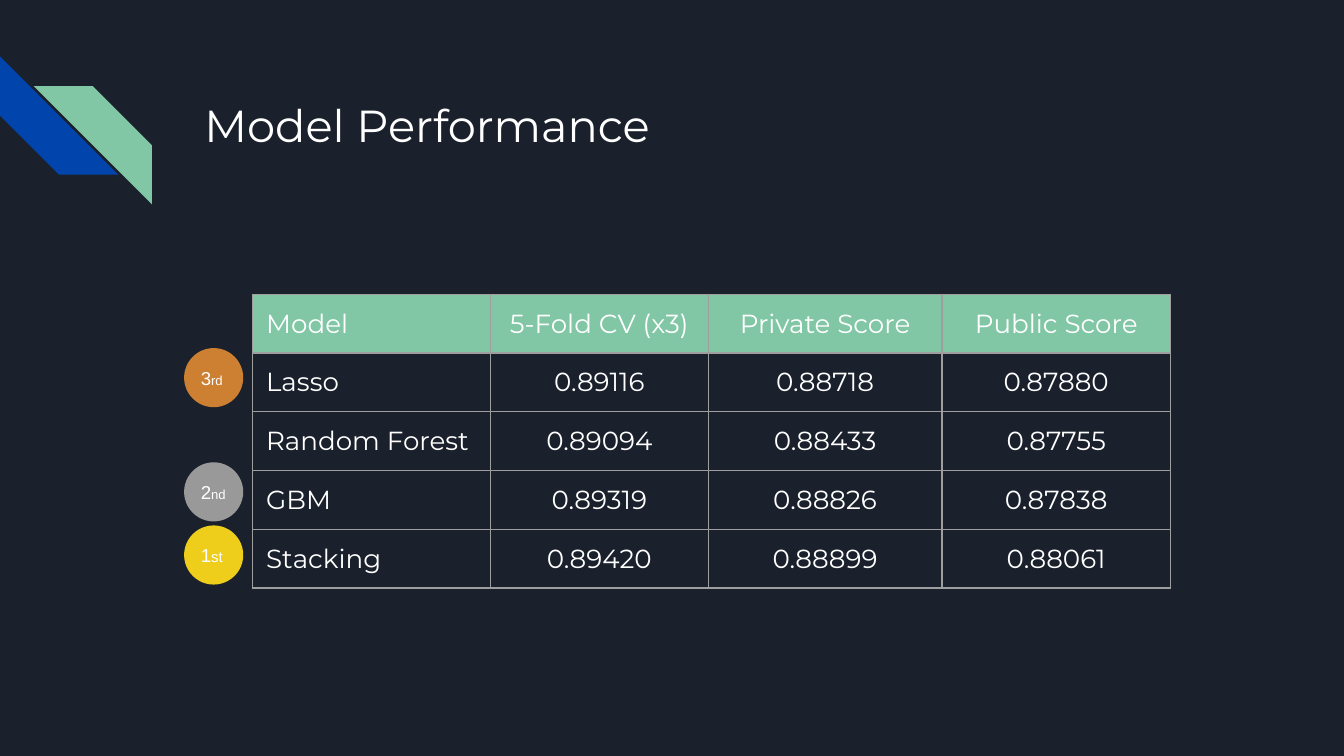
from dataclasses import dataclass

from lxml import etree
from pptx import Presentation
from pptx.dml.color import RGBColor
from pptx.enum.shapes import MSO_SHAPE
from pptx.enum.text import MSO_ANCHOR, MSO_AUTO_SIZE, PP_ALIGN
from pptx.oxml.ns import qn
from pptx.util import Inches, Pt

STRIPE = MSO_SHAPE.DIAGONAL_STRIPE
OVAL = MSO_SHAPE.OVAL
MIDDLE = MSO_ANCHOR.MIDDLE
LEFT = PP_ALIGN.LEFT
CENTER = PP_ALIGN.CENTER
NO_FIT = MSO_AUTO_SIZE.NONE

COLORS = {
    "back": "1B212C",
    "blue": "0145AC",
    "green": "82C7A5",
    "white": "FFFFFF",
    "grid": "9E9E9E",
    "gold": "EECE1A",
    "silver": "999999",
    "bronze": "CD7F32",
}
SANS = "Montserrat"
WIDTHS = [1.77, 1.62, 1.74, 1.7]
ROW = 0.42
SCORES = [
    ["Model", "5-Fold CV (x3)", "Private Score", "Public Score"],
    ["Lasso", "0.89116", "0.88718", "0.87880"],
    ["Random Forest", "0.89094", "0.88433", "0.87755"],
    ["GBM", "0.89319", "0.88826", "0.87838"],
    ["Stacking", "0.89420", "0.88899", "0.88061"],
]


@dataclass
class Stripe:
    left: float
    top: float
    color: str
    turn: int


@dataclass
class Medal:
    top: float
    color: str
    rank: str
    suffix: str
    size: int


STRIPES = [Stripe(0, 0.42, "blue", 270), Stripe(0.25, 0.64, "green", 90)]
MEDALS = [
    Medal(3.91, "gold", "1", "st", 8),
    Medal(3.44, "silver", "2", "nd", 7),
    Medal(2.59, "bronze", "3", "rd", 7),
]


def tint(name: str) -> RGBColor:
    return RGBColor.from_string(COLORS[name])


def write(frame, text: str, *, size: int, font: str = SANS,
          color: str = "white", align=LEFT) -> None:
    par = frame.paragraphs[0]
    par.alignment = align
    run = par.add_run()
    run.text = text
    run.font.size = Pt(size)
    run.font.name = font
    run.font.color.rgb = tint(color)


def inset(box, side: float, end: float) -> None:
    box.margin_left = box.margin_right = Inches(side)
    box.margin_top = box.margin_bottom = Inches(end)


def add_shape(slide, kind, left: float, top: float, size: float, color: str):
    shape = slide.shapes.add_shape(
        kind, Inches(left), Inches(top), Inches(size), Inches(size))
    shape.shadow.inherit = False
    shape.fill.solid()
    shape.fill.fore_color.rgb = tint(color)
    shape.line.fill.background()
    return shape


def add_stripe(slide, stripe: Stripe) -> None:
    shape = add_shape(
        slide, STRIPE, stripe.left, stripe.top, 0.88, stripe.color)
    shape.rotation = stripe.turn


def add_medal(slide, medal: Medal) -> None:
    frame = add_shape(
        slide, OVAL, 1.37, medal.top, 0.44, medal.color).text_frame
    frame.word_wrap = True
    frame.vertical_anchor = MIDDLE
    inset(frame, 0.06, 0.02)
    write(frame, medal.rank, size=10, font="Arial")
    write(frame, medal.suffix, size=medal.size, font="Arial")


def add_title(slide, text: str) -> None:
    title = slide.shapes.title
    title.left, title.top = Inches(1.42), Inches(0.43)
    title.width, title.height = Inches(7.7), Inches(1)
    frame = title.text_frame
    frame.word_wrap = True
    frame.auto_size = NO_FIT
    frame.vertical_anchor = MIDDLE
    inset(frame, 0.1, 0.1)
    write(frame, text, size=24)


def add_border(cell) -> None:
    props = cell._tc.get_or_add_tcPr()
    for side in ("a:lnL", "a:lnR", "a:lnT", "a:lnB"):
        line = etree.SubElement(props, qn(side), w=str(Pt(0.75)))
        fill = etree.SubElement(line, qn("a:solidFill"))
        etree.SubElement(fill, qn("a:srgbClr"), val=COLORS["grid"])


def add_scores(slide) -> None:
    table = slide.shapes.add_table(
        len(SCORES), len(WIDTHS), Inches(1.88), Inches(2.19),
        Inches(sum(WIDTHS)), Inches(ROW * len(SCORES))).table
    table.first_row = table.horz_banding = False
    for col, width in zip(table.columns, WIDTHS):
        col.width = Inches(width)
    for i, texts in enumerate(SCORES):
        table.rows[i].height = Inches(ROW)
        for j, text in enumerate(texts):
            cell = table.cell(i, j)
            inset(cell, 0.1, 0.1)
            add_border(cell)
            if i == 0:
                cell.fill.solid()
                cell.fill.fore_color.rgb = tint("green")
            else:
                cell.fill.background()
            write(cell.text_frame, text, size=14,
                  align=CENTER if j else LEFT)


def main() -> None:
    deck = Presentation()
    deck.slide_width = Inches(10)
    deck.slide_height = deck.slide_width * 9 // 16
    slide = deck.slides.add_slide(deck.slide_layouts[5])
    slide.background.fill.solid()
    slide.background.fill.fore_color.rgb = tint("back")
    for stripe in STRIPES:
        add_stripe(slide, stripe)
    add_title(slide, "Model Performance")
    add_scores(slide)
    for medal in MEDALS:
        add_medal(slide, medal)
    deck.save("out.pptx")


if __name__ == "__main__":
    main()
